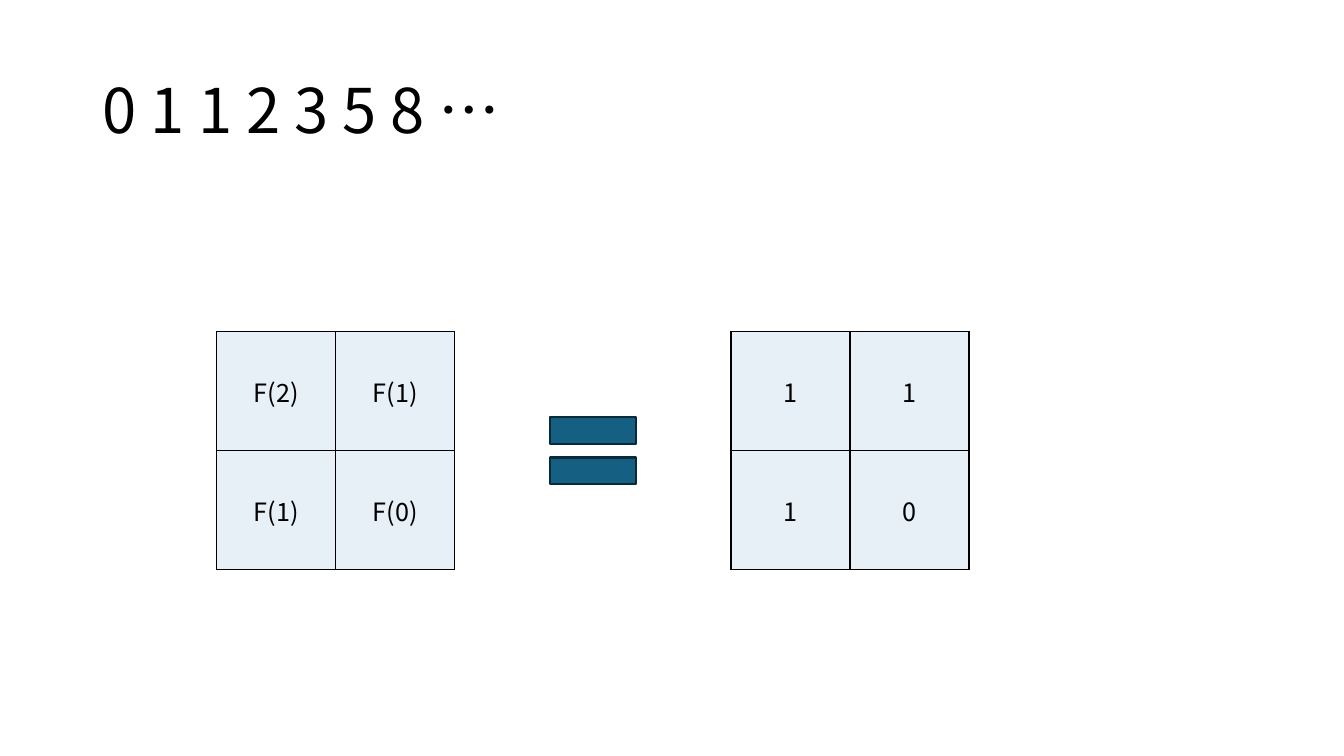
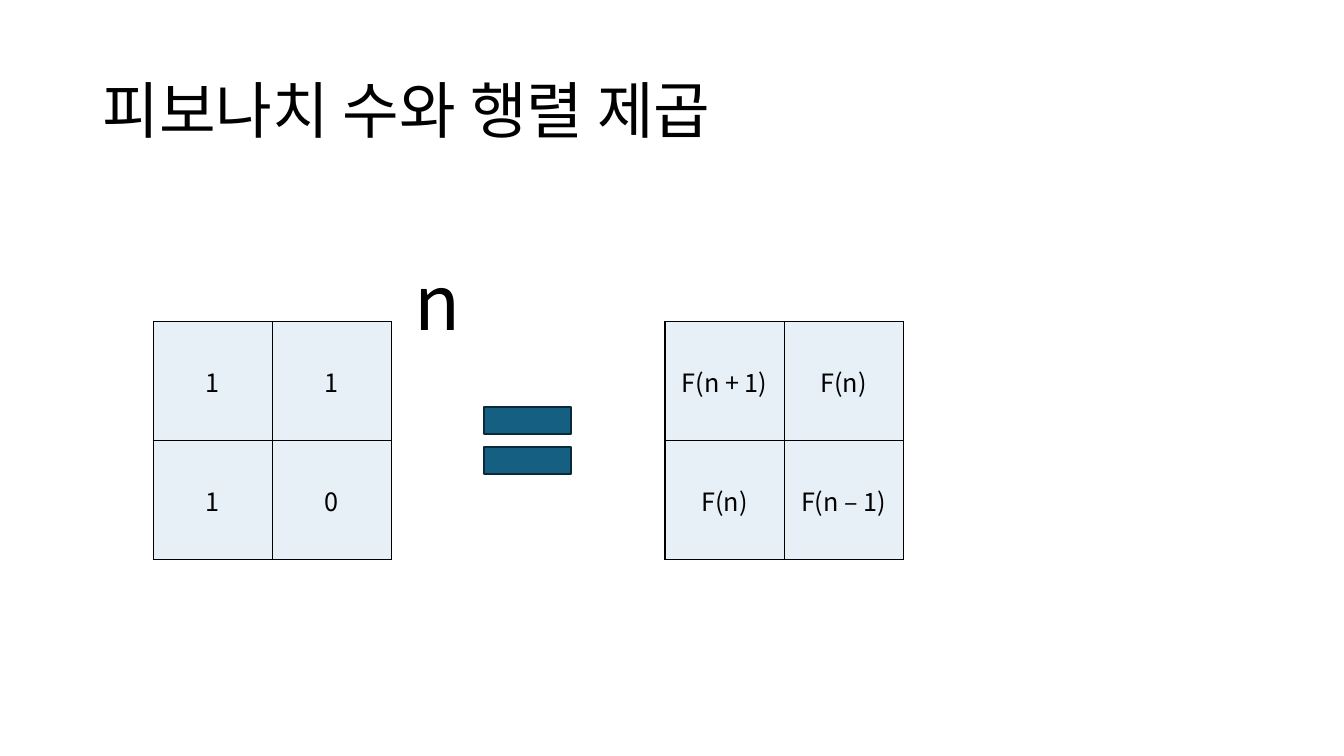
from dataclasses import dataclass

from lxml import etree
from pptx import Presentation
from pptx import util as u
from pptx.dml.color import RGBColor
from pptx.enum import shapes, text
from pptx.oxml import ns

FONT = "Noto Sans CJK KR"
BLACK, CELL_FILL, SIGN_FILL, SIGN_LINE = "000000", "E7F0F7", "156082", "092A39"
CELL = 3.0  # side of a matrix cell, cm
SIGN_W, SIGN_H = 2.97, 2.87

Rows = tuple[tuple[str, str], tuple[str, str]]


@dataclass(frozen=True)
class Matrix:
    left: float
    rows: Rows


@dataclass(frozen=True)
class Equation:
    title: str
    top: float
    lhs: Matrix
    sign_left: float
    rhs: Matrix
    exponent: str = ""


UNIT: Rows = (("1", "1"), ("1", "0"))
EQUATIONS = (
    Equation("0 1 1 2 3 5 8 …", 8.36,
             Matrix(5.46, (("F(2)", "F(1)"), ("F(1)", "F(0)"))),
             13.46, Matrix(18.42, UNIT)),
    Equation("피보나치 수와 행렬 제곱", 8.1,
             Matrix(3.86, UNIT), 11.81,
             Matrix(16.76, (("F(n + 1)", "F(n)"), ("F(n)", "F(n – 1)"))),
             exponent="n"),
)


def rgb(color: str) -> RGBColor:
    return RGBColor.from_string(color)


def write(tf, content: str, size: int, align=text.PP_ALIGN.CENTER) -> None:
    tf.text = content
    p = tf.paragraphs[0]
    p.alignment = align
    p.font.size = u.Pt(size)
    p.font.name = FONT
    p.font.color.rgb = rgb(BLACK)
    # Korean glyphs take the East Asian typeface
    def_rpr = p._p.pPr.find(ns.qn("a:defRPr"))
    etree.SubElement(def_rpr, ns.qn("a:ea"), typeface=FONT)


def add_borders(cell) -> None:
    tc_pr = cell._tc.get_or_add_tcPr()
    for i, side in enumerate(("lnL", "lnR", "lnT", "lnB")):
        ln = etree.Element(ns.qn(f"a:{side}"), w=str(u.Pt(1)))
        fill = etree.SubElement(ln, ns.qn("a:solidFill"))
        etree.SubElement(fill, ns.qn("a:srgbClr"), val=BLACK)
        tc_pr.insert(i, ln)


def add_title(s, title: str) -> None:
    sp = s.shapes.title
    sp.left, sp.top = u.Cm(2.33), u.Cm(1.01)
    sp.width, sp.height = u.Cm(29.21), u.Cm(3.68)
    tf = sp.text_frame
    tf.vertical_anchor = text.MSO_ANCHOR.MIDDLE
    write(tf, title, 44, text.PP_ALIGN.LEFT)
    tf.paragraphs[0].line_spacing = 0.9


def add_matrix(s, matrix: Matrix, top: float) -> None:
    side = u.Cm(2 * CELL)
    table = s.shapes.add_table(2, 2, u.Cm(matrix.left), u.Cm(top), side, side).table
    table.first_row = table.horz_banding = False
    for r, row in enumerate(matrix.rows):
        for c, entry in enumerate(row):
            cell = table.cell(r, c)
            cell.fill.solid()
            cell.fill.fore_color.rgb = rgb(CELL_FILL)
            cell.vertical_anchor = text.MSO_ANCHOR.MIDDLE
            write(cell.text_frame, entry, 18)
            add_borders(cell)


def add_equal_sign(s, left: float, middle: float) -> None:
    sp = s.shapes.add_shape(shapes.MSO_SHAPE.MATH_EQUAL, u.Cm(left),
                            u.Cm(middle - SIGN_H / 2), u.Cm(SIGN_W), u.Cm(SIGN_H))
    sp.shadow.inherit = False
    sp.fill.solid()
    sp.fill.fore_color.rgb = rgb(SIGN_FILL)
    sp.line.color.rgb = rgb(SIGN_LINE)
    sp.line.width = u.Pt(1.5)


def add_exponent(s, exponent: str, matrix: Matrix, top: float) -> None:
    left = matrix.left + 2 * CELL + 0.33
    sp = s.shapes.add_textbox(u.Cm(left), u.Cm(top - 1.8), u.Cm(1.63), u.Cm(2.57))
    tf = sp.text_frame
    tf.word_wrap = False
    tf.auto_size = text.MSO_AUTO_SIZE.SHAPE_TO_FIT_TEXT
    write(tf, exponent, 54)


def add_equation(prs, eq: Equation) -> None:
    s = prs.slides.add_slide(prs.slide_layouts[5])  # title only
    add_title(s, eq.title)
    add_matrix(s, eq.lhs, eq.top)
    if eq.exponent:
        add_exponent(s, eq.exponent, eq.lhs, eq.top)
    add_equal_sign(s, eq.sign_left, eq.top + CELL)
    add_matrix(s, eq.rhs, eq.top)


def main() -> None:
    prs = Presentation()
    prs.slide_width, prs.slide_height = u.Cm(33.87), u.Cm(19.05)
    for eq in EQUATIONS:
        add_equation(prs, eq)
    prs.save("out.pptx")


if __name__ == "__main__":
    main()
